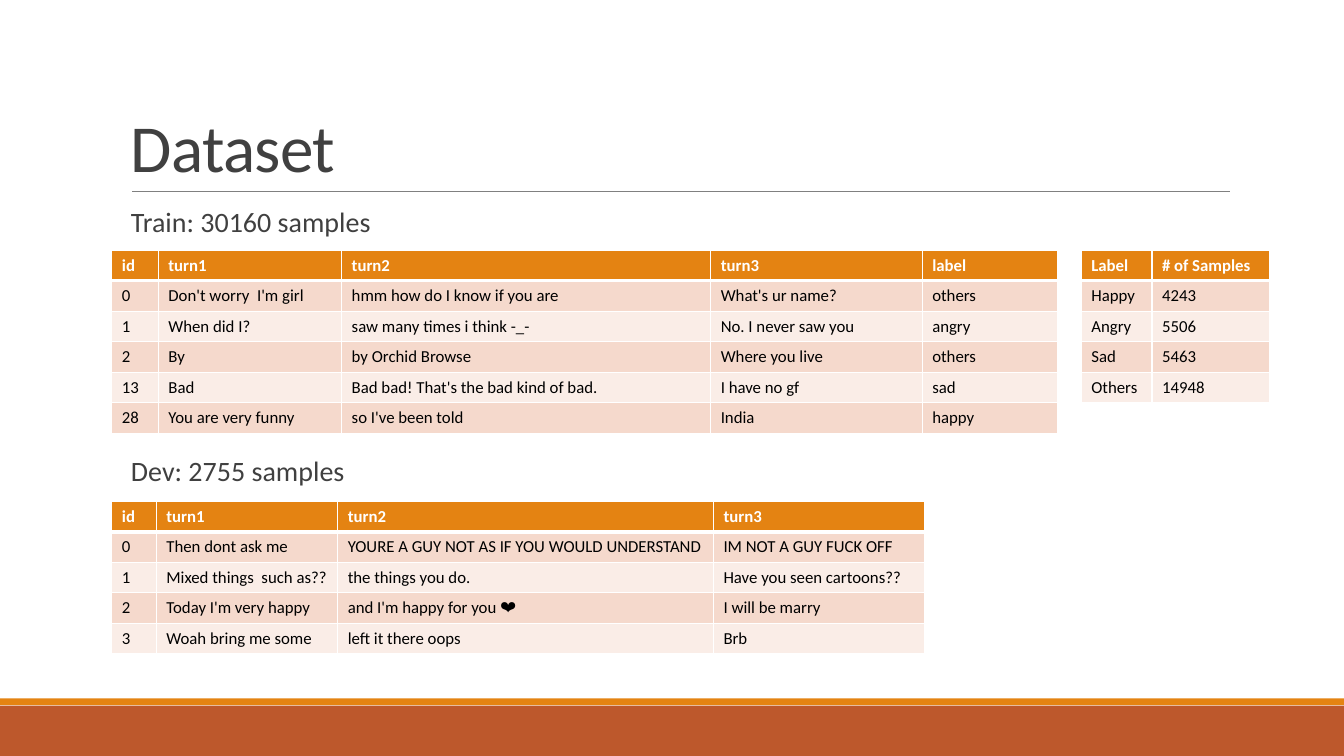
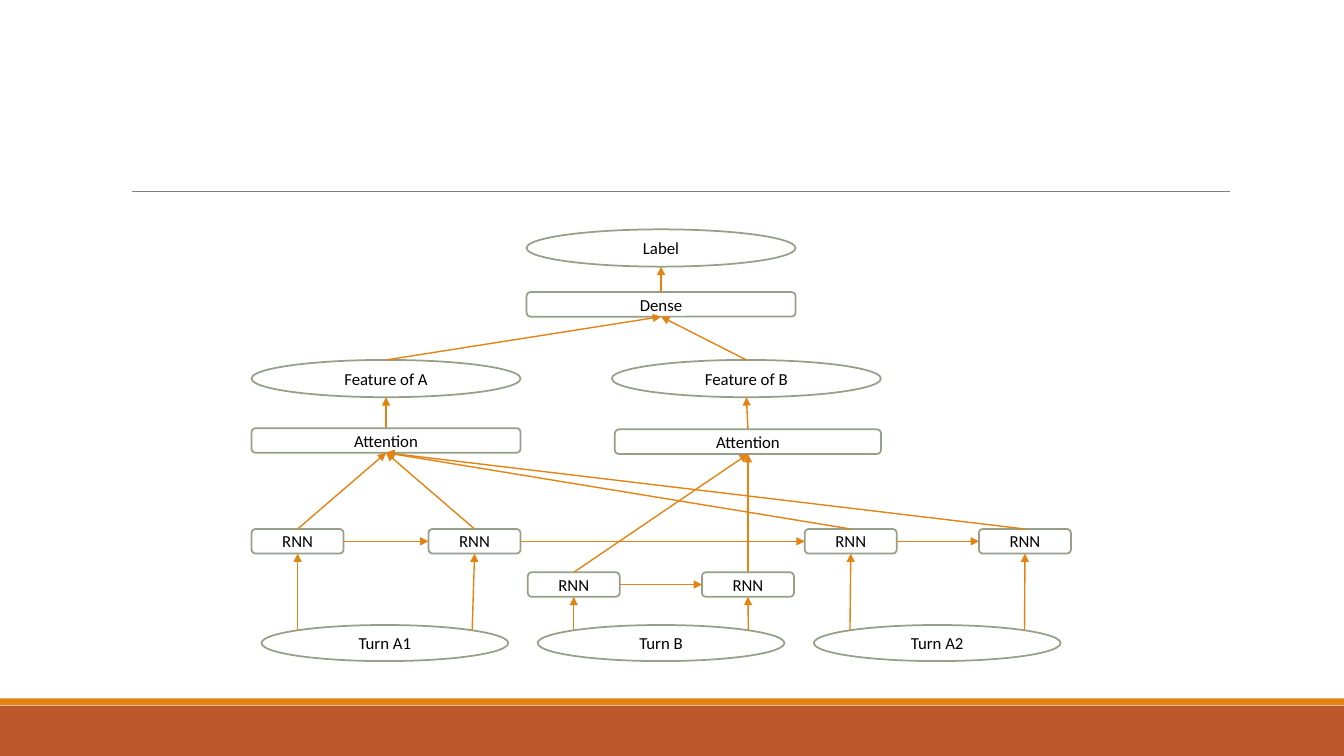
"""Build two slides: dataset sample tables and a recurrent network diagram."""
from dataclasses import dataclass
from math import sqrt

from lxml import etree
from pptx import Presentation
from pptx.dml.color import RGBColor
from pptx.enum.shapes import MSO_CONNECTOR, MSO_SHAPE
from pptx.enum.text import MSO_ANCHOR, PP_ALIGN
from pptx.oxml.ns import qn
from pptx.util import Cm, Pt

RECTANGLE = MSO_SHAPE.RECTANGLE
ROUNDED = MSO_SHAPE.ROUNDED_RECTANGLE
OVAL = MSO_SHAPE.OVAL
STRAIGHT = MSO_CONNECTOR.STRAIGHT
ANCHOR_TOP = MSO_ANCHOR.TOP
ANCHOR_MIDDLE = MSO_ANCHOR.MIDDLE
ANCHOR_BOTTOM = MSO_ANCHOR.BOTTOM
CENTER = PP_ALIGN.CENTER
TOP, LEFT, BOTTOM, RIGHT = range(4)


@dataclass(frozen=True)
class Theme:
    """Colours, type sizes and line widths of the deck."""
    font: str = "Calibri"
    orange: str = "E48312"
    rust: str = "BD582C"
    rule: str = "808080"
    heading: str = "404040"
    black: str = "000000"
    white: str = "FFFFFF"
    sage: str = "94A088"
    bands: tuple = ("F5D9CC", "FAEDE7")
    title_size: int = 48
    subtitle_size: int = 20
    body_size: int = 12
    rule_width: float = 0.5
    arrow_width: float = 1
    outline_width: float = 1.25
    cell_border: float = 1
    header_border: float = 3


THEME = Theme()

SLIDE_WIDTH, SLIDE_HEIGHT = 33.87, 19.05
TABLE_LEFT, ROW_HEIGHT = 2.82, 0.77
BOX_HEIGHT, RNN_WIDTH = 0.62, 2.32
WIDE_WIDTH, WIDE_HEIGHT = 6.78, 0.94
TURN_WIDTH, TURN_HEIGHT, TURN_TOP = 6.22, 0.91, 15.75

TRAIN_ROWS = (
    ("id", "turn1", "turn2", "turn3", "label"),
    ("0", "Don't worry  I'm girl", "hmm how do I know if you are", "What's ur name?", "others"),
    ("1", "When did I?", "saw many times i think -_-", "No. I never saw you", "angry"),
    ("2", "By", "by Orchid Browse", "Where you live", "others"),
    ("13", "Bad", "Bad bad! That's the bad kind of bad.", "I have no gf", "sad"),
    ("28", "You are very funny", "so I've been told", "India", "happy"),
)
DEV_ROWS = (
    ("id", "turn1", "turn2", "turn3"),
    ("0", "Then dont ask me", "YOURE A GUY NOT AS IF YOU WOULD UNDERSTAND", "IM NOT A GUY FUCK OFF"),
    ("1", "Mixed things  such as??", "the things you do.", "Have you seen cartoons??"),
    ("2", "Today I'm very happy", "and I'm happy for you ❤", "I will be marry"),
    ("3", "Woah bring me some", "left it there oops", "Brb"),
)
COUNT_ROWS = (
    ("Label", "# of Samples"),
    ("Happy", "4243"),
    ("Angry", "5506"),
    ("Sad", "5463"),
    ("Others", "14948"),
)


def rgb(color):
    """Turn a hexadecimal colour into a colour object."""
    return RGBColor.from_string(color)


def style_paragraph(paragraph, size, color, bold=False):
    """Set the font of a whole paragraph."""
    font = paragraph.font
    font.name, font.size, font.bold = THEME.font, Pt(size), bold
    font.color.rgb = rgb(color)


def add_box(slide, kind, left, top, width, height, fill):
    """Add a plain filled shape without outline or shadow."""
    shape = slide.shapes.add_shape(kind, Cm(left), Cm(top), Cm(width), Cm(height))
    shape.shadow.inherit = False
    shape.fill.solid()
    shape.fill.fore_color.rgb = rgb(fill)
    shape.line.fill.background()
    return shape


def add_line(slide, start, end, color, width):
    """Add a straight line between two points."""
    connector = slide.shapes.add_connector(STRAIGHT, *start, *end)
    connector.line.color.rgb = rgb(color)
    connector.line.width = Pt(width)
    etree.SubElement(connector._element.spPr, qn("a:effectLst"))
    return connector


def add_text(slide, text, left, top, width, height, size, anchor, line_spacing):
    """Add one paragraph of heading text in a wrapping box."""
    frame = slide.shapes.add_textbox(Cm(left), Cm(top), Cm(width), Cm(height)).text_frame
    frame.word_wrap = True
    frame.vertical_anchor = anchor
    paragraph = frame.paragraphs[0]
    paragraph.text = text
    paragraph.line_spacing = line_spacing
    style_paragraph(paragraph, size, THEME.heading)
    return paragraph


def add_title(slide, text):
    """Add the slide title above the rule."""
    paragraph = add_text(slide, text, 3.05, 0.79, 27.94, 4.04,
                         THEME.title_size, ANCHOR_BOTTOM, 0.85)
    paragraph.font._element.set("spc", "-50")


def add_subtitle(slide, text, top):
    """Add the heading of a table."""
    add_text(slide, text, 3.05, top, 27.94, 1.1, THEME.subtitle_size, ANCHOR_TOP, 0.9)


def add_framed_slide(presentation):
    """Add a blank slide with the footer bands and the title rule."""
    slide = presentation.slides.add_slide(presentation.slide_layouts[6])
    add_box(slide, RECTANGLE, 0, 17.78, SLIDE_WIDTH, 1.27, THEME.rust)
    add_box(slide, RECTANGLE, 0, 17.6, SLIDE_WIDTH, 0.17, THEME.orange)
    add_line(slide, (Cm(3.33), Cm(4.83)), (Cm(31), Cm(4.83)), THEME.rule, THEME.rule_width)
    return slide


def set_borders(cell, top_width, bottom_width):
    """Draw white borders around a cell."""
    properties = cell._tc.get_or_add_tcPr()
    widths = {"a:lnL": THEME.cell_border, "a:lnR": THEME.cell_border,
              "a:lnT": top_width, "a:lnB": bottom_width}
    for tag, width in widths.items():
        border = etree.SubElement(properties, qn(tag), w=str(int(Pt(width))))
        fill = etree.SubElement(border, qn("a:solidFill"))
        etree.SubElement(fill, qn("a:srgbClr"), val=THEME.white)


def fill_cell(cell, text, row_index):
    """Write and style a header or a banded body cell."""
    header = row_index == 0
    set_borders(cell,
                THEME.header_border if row_index == 1 else THEME.cell_border,
                THEME.header_border if header else THEME.cell_border)
    cell.fill.solid()
    cell.fill.fore_color.rgb = rgb(THEME.orange if header else THEME.bands[(row_index - 1) % 2])
    cell.vertical_anchor = ANCHOR_BOTTOM
    paragraph = cell.text_frame.paragraphs[0]
    paragraph.text = text
    style_paragraph(paragraph, THEME.body_size, THEME.white if header else THEME.black, header)


def add_data_table(slide, rows, left, top, widths):
    """Add a table with a header and banded rows."""
    table = slide.shapes.add_table(len(rows), len(widths), Cm(left), Cm(top),
                                   Cm(sum(widths)), Cm(ROW_HEIGHT * len(rows))).table
    for column, width in zip(table.columns, widths):
        column.width = Cm(width)
    for row_index, texts in enumerate(rows):
        for column_index, text in enumerate(texts):
            fill_cell(table.cell(row_index, column_index), text, row_index)


def add_node(slide, kind, text, center, top, width, height):
    """Add a labelled diagram node centred on a horizontal position."""
    shape = add_box(slide, kind, center - width / 2, top, width, height, THEME.white)
    shape.line.color.rgb = rgb(THEME.sage)
    shape.line.width = Pt(THEME.outline_width)
    frame = shape.text_frame
    frame.margin_top = frame.margin_bottom = 0
    frame.vertical_anchor = ANCHOR_MIDDLE
    paragraph = frame.paragraphs[0]
    paragraph.text = text
    paragraph.alignment = CENTER
    style_paragraph(paragraph, THEME.body_size, THEME.black)
    return shape


def side_point(shape, side):
    """Return the middle of a side of a shape."""
    across, down = {TOP: (1, 0), LEFT: (0, 1), BOTTOM: (1, 2), RIGHT: (2, 1)}[side]
    return shape.left + shape.width * across // 2, shape.top + shape.height * down // 2


def shoulder_point(oval, direction):
    """Return the upper diagonal point of an oval, left (-1) or right (1)."""
    reach = sqrt(0.5)
    return (int(oval.left + oval.width * (1 + direction * reach) / 2),
            int(oval.top + oval.height * (1 - reach) / 2))


def add_arrow(slide, start, target, enter=BOTTOM):
    """Add an arrow from a point to a side of a node."""
    arrow = add_line(slide, start, side_point(target, enter), THEME.orange, THEME.arrow_width)
    etree.SubElement(arrow.line._get_or_add_ln(), qn("a:tailEnd"), type="triangle")
    if target.auto_shape_type == ROUNDED:
        arrow.end_connect(target, enter)
    return arrow


def link(slide, source, target, leave=TOP, enter=BOTTOM):
    """Join two nodes with an arrow."""
    add_arrow(slide, side_point(source, leave), target, enter).begin_connect(source, leave)


def add_turn(slide, text, center, rnn_centers, rnn_top):
    """Add a turn with its two recurrent cells and return the cells."""
    turn = add_node(slide, OVAL, text, center, TURN_TOP, TURN_WIDTH, TURN_HEIGHT)
    cells = []
    for direction, rnn_center in zip((-1, 1), rnn_centers):
        cell = add_node(slide, ROUNDED, "RNN", rnn_center, rnn_top, RNN_WIDTH, BOX_HEIGHT)
        add_arrow(slide, shoulder_point(turn, direction), cell)
        cells.append(cell)
    return cells


def add_branch(slide, name, cells, attention_box, feature_center):
    """Chain cells, attend to them and return the resulting feature."""
    for source, target in zip(cells, cells[1:]):
        link(slide, source, target, RIGHT, LEFT)
    attention = add_node(slide, ROUNDED, "Attention", *attention_box, BOX_HEIGHT)
    for cell in cells:
        link(slide, cell, attention)
    feature = add_node(slide, OVAL, name, feature_center, 9.07, WIDE_WIDTH, WIDE_HEIGHT)
    link(slide, attention, feature)
    return feature


def build_dataset_slide(presentation):
    """Show the training and development samples."""
    slide = add_framed_slide(presentation)
    add_title(slide, "Dataset")
    add_subtitle(slide, "Train: 30160 samples", 5.13)
    add_subtitle(slide, "Dev: 2755 samples", 11.4)
    add_data_table(slide, TRAIN_ROWS, TABLE_LEFT, 6.3, (1.17, 4.62, 9.3, 5.33, 3.4))
    add_data_table(slide, DEV_ROWS, TABLE_LEFT, 12.63, (1.12, 4.57, 9.47, 5.31))
    add_data_table(slide, COUNT_ROWS, 27.25, 6.3, (1.78, 2.97))


def build_network_slide(presentation):
    """Show how the three turns lead to the label."""
    slide = add_framed_slide(presentation)
    first_cells = add_turn(slide, "Turn A1", 9.7, (7.5, 11.96), 13.33)
    reply_cells = add_turn(slide, "Turn B", 16.66, (14.46, 18.85), 14.42)
    last_cells = add_turn(slide, "Turn A2", 23.62, (21.44, 25.83), 13.33)
    features = (
        add_branch(slide, "Feature of A", first_cells + last_cells, (9.73, 10.79, WIDE_WIDTH), 9.73),
        add_branch(slide, "Feature of B", reply_cells, (18.85, 10.82, 6.71), 18.81),
    )
    dense = add_node(slide, ROUNDED, "Dense", 16.66, 7.36, WIDE_WIDTH, BOX_HEIGHT)
    for feature in features:
        link(slide, feature, dense)
    label = add_node(slide, OVAL, "Label", 16.66, 5.78, WIDE_WIDTH, WIDE_HEIGHT)
    link(slide, dense, label)


def main():
    """Build and save the presentation."""
    presentation = Presentation()
    presentation.slide_width, presentation.slide_height = Cm(SLIDE_WIDTH), Cm(SLIDE_HEIGHT)
    build_dataset_slide(presentation)
    build_network_slide(presentation)
    presentation.save("out.pptx")


if __name__ == "__main__":
    main()
